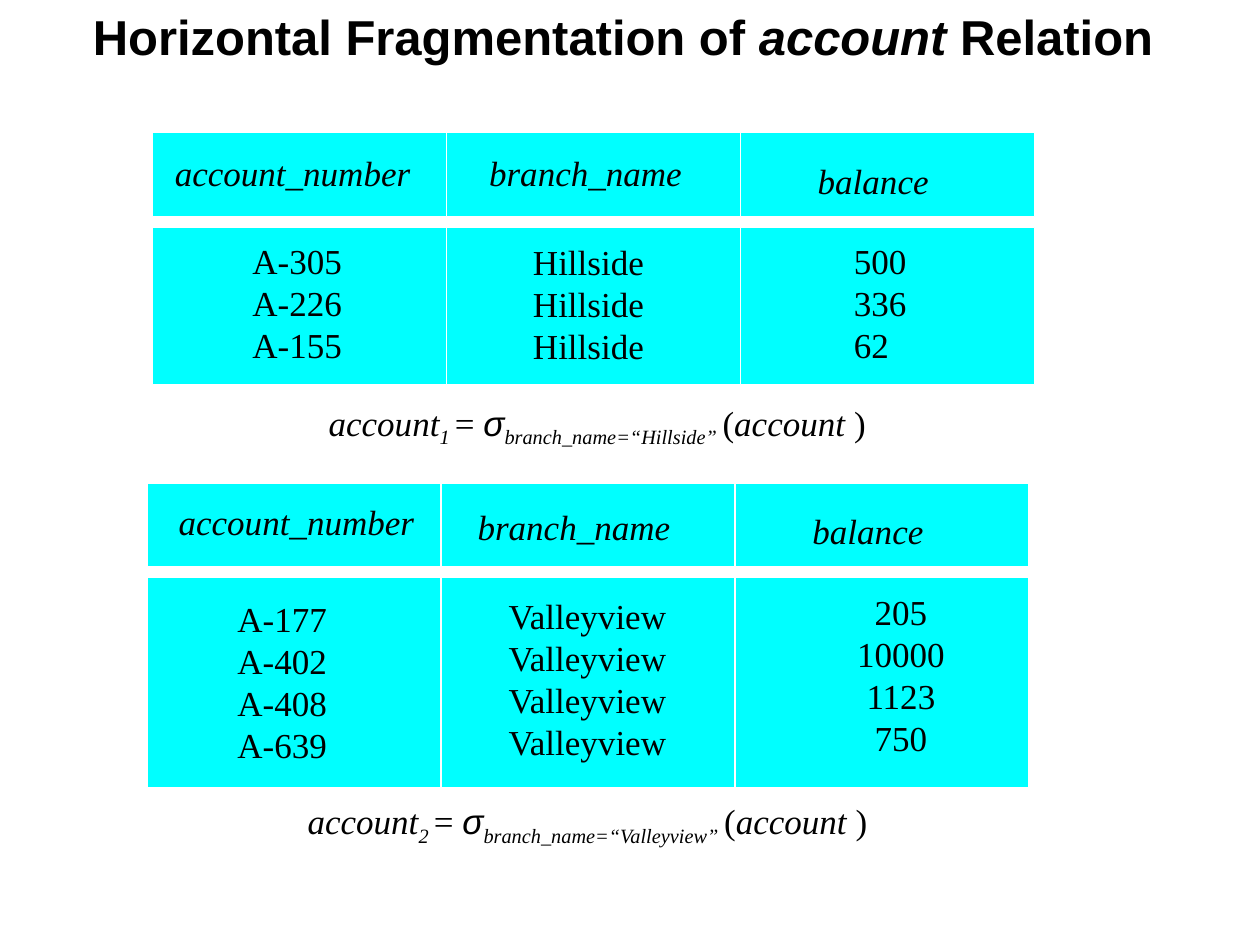
from pptx import Presentation
from pptx.dml.color import RGBColor
from pptx.enum.shapes import MSO_SHAPE as Shape
from pptx.enum.text import MSO_ANCHOR as Anchor, MSO_AUTO_SIZE as AutoSize, PP_ALIGN as Align
from pptx.util import Pt

CYAN = RGBColor(0x00, 0xFF, 0xFF)
WHITE = RGBColor(0xFF, 0xFF, 0xFF)
BLACK = RGBColor(0x00, 0x00, 0x00)

SERIF = {"name": "Times New Roman", "size": Pt(20), "italic": False}
ITALIC = {**SERIF, "italic": True}
SIGMA = {**ITALIC, "name": "Arial"}
HEADING = {"name": "Arial", "size": Pt(28), "bold": True, "italic": False}

COLUMN_WIDTH, HEADER_HEIGHT, GAP, LINE_HEIGHT = 168, 48, 6, 24
HEADERS = ("account_number", "branch_name", "balance")
HEADER_WIDTHS = (149, 125, 78)

# Label positions are offsets from the top left corner of each relation
FRAGMENTS = [
    {
        "box": (87.2, 75.8), "body_height": 90,
        "header_spots": [(5.6, 7.4), (185.2, 7), (373, 11.5)],
        "columns": [
            (50, 57.4, 66, Align.LEFT, ["A-305", "A-226", "A-155"]),
            (210.3, 58.1, 78, Align.LEFT, ["Hillside"] * 3),
            (393.6, 57.4, 48, Align.LEFT, ["500", "336", "62"]),
        ],
        "formula_box": (180.7, 225.6, 368, 34.5), "index": "1", "branch": "Hillside",
    },
    {
        "box": (84, 276), "body_height": 120,
        "header_spots": [(11, 6.3), (181.8, 9.3), (373.2, 11.5)],
        "columns": [
            (44.6, 61.8, 66, Align.LEFT, ["A-177", "A-402", "A-408", "A-639"]),
            (199.5, 60.3, 106.5, Align.LEFT, ["Valleyview"] * 4),
            (396.8, 57.8, 68, Align.CENTER, ["205", "10000", "1123", "750"]),
        ],
        "formula_box": (168.7, 453.3, 384.5, 59), "index": "2", "branch": "Valleyview",
    },
]


def add_span(para, text, formats, baseline=0):
    span = para.add_run()
    span.text = text
    for name, value in formats.items():
        setattr(span.font, name, value)
    span.font.color.rgb = BLACK
    if baseline:
        span.font._element.set("baseline", str(baseline * 1000))


def add_label(page, box, lines, wrap=False, align=Align.LEFT):
    """Place a text box; each line is a list of (text, formats, baseline) spans."""
    frame = page.shapes.add_textbox(*map(Pt, box)).text_frame
    frame.word_wrap = wrap
    frame.auto_size = AutoSize.SHAPE_TO_FIT_TEXT
    for number, spans in enumerate(lines):
        para = frame.add_paragraph() if number else frame.paragraphs[0]
        para.alignment = align
        for span in spans:
            add_span(para, *span)


def add_cell(page, box):
    cell = page.shapes.add_shape(Shape.RECTANGLE, *map(Pt, box))
    cell.shadow.inherit = False
    cell.fill.solid()
    cell.fill.fore_color.rgb = CYAN
    cell.line.color.rgb = WHITE
    cell.line.width = Pt(0.75)


def add_title(page, box):
    title = page.shapes.title
    title.left, title.top, title.width, title.height = map(Pt, box)
    frame = title.text_frame
    frame.word_wrap = True
    frame.auto_size = AutoSize.NONE
    frame.vertical_anchor = Anchor.MIDDLE
    para = frame.paragraphs[0]
    para.alignment = Align.CENTER
    para.line_spacing = 0.8
    add_span(para, "Horizontal Fragmentation of ", HEADING)
    add_span(para, "account", {**HEADING, "italic": True})
    add_span(para, " Relation", HEADING)


def add_relation(page, box, body_height, header_spots, columns):
    left, top = box
    # Header and body cells
    for index in range(len(HEADERS)):
        x = left + index * COLUMN_WIDTH
        add_cell(page, (x, top, COLUMN_WIDTH, HEADER_HEIGHT))
        add_cell(page, (x, top + HEADER_HEIGHT + GAP, COLUMN_WIDTH, body_height))
    # Column names
    for name, width, (dx, dy) in zip(HEADERS, HEADER_WIDTHS, header_spots):
        add_label(page, (left + dx, top + dy, width, 31.5), [[(name, ITALIC)]])
    # Column values
    for dx, dy, width, align, values in columns:
        height = len(values) * LINE_HEIGHT + 7.2
        add_label(page, (left + dx, top + dy, width, height),
                  [[(value, SERIF)] for value in values], align=align)


def add_formula(page, box, index, branch):
    spans = [
        ("account", ITALIC), (f"{index} ", ITALIC, -25), ("= ", SERIF), ("σ", SIGMA),
        (f"branch_name=“{branch}” ", ITALIC, -25),
        ("(", SERIF), ("account ", ITALIC), (")", SERIF),
    ]
    add_label(page, box, [spans], wrap=True)


def main():
    deck = Presentation()
    deck.slide_width, deck.slide_height = Pt(720), Pt(540)
    page = deck.slides.add_slide(deck.slide_layouts[5])
    add_title(page, (5, 4.3, 702, 38.2))
    for part in FRAGMENTS:
        add_relation(page, part["box"], part["body_height"],
                     part["header_spots"], part["columns"])
        add_formula(page, part["formula_box"], part["index"], part["branch"])
    deck.save("out.pptx")


if __name__ == "__main__":
    main()
